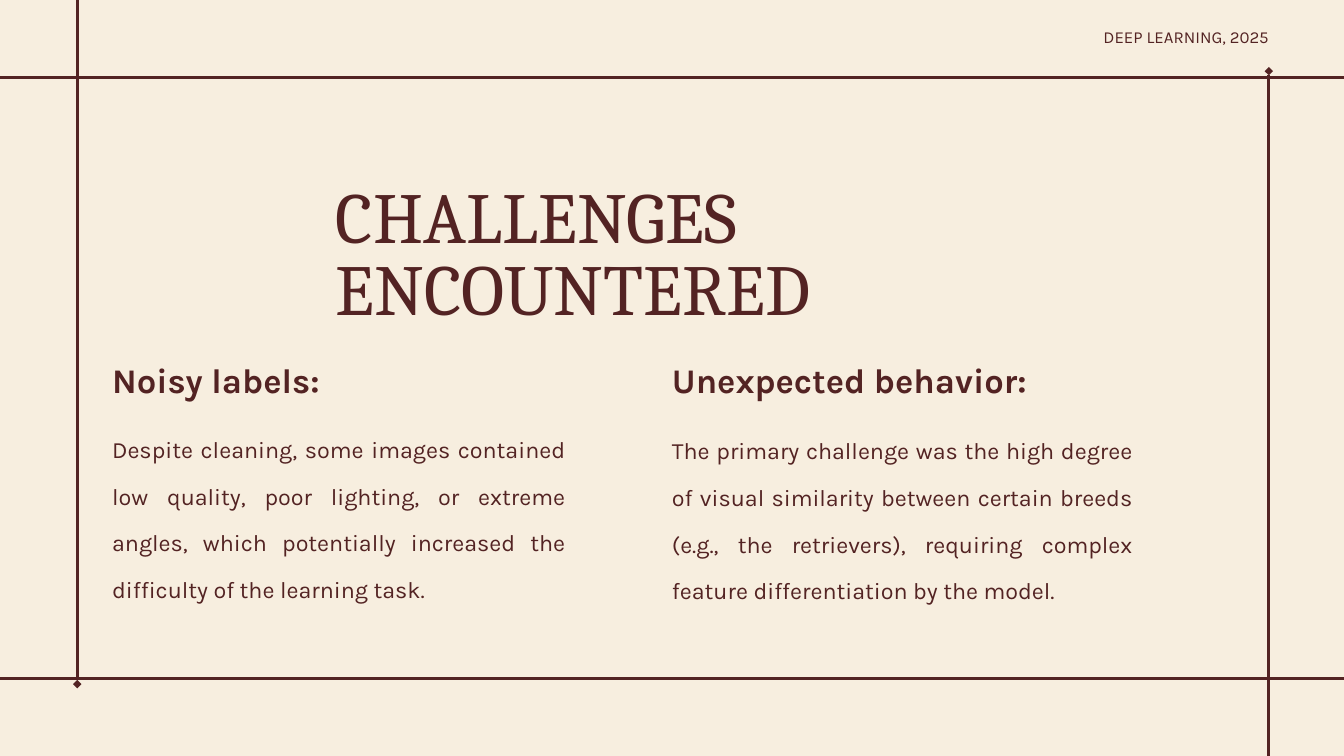
from dataclasses import dataclass

import pptx
import pptx.dml.color
import pptx.enum.shapes
import pptx.enum.text
import pptx.oxml
import pptx.oxml.ns
import pptx.util
from pptx.util import Cm

ALIGN = pptx.enum.text.PP_ALIGN
WIDTH, HEIGHT = 50.8, 28.58
LEFT_RULE, RIGHT_RULE = 2.92, 47.96
TOP_RULE, BOTTOM_RULE = 2.92, 25.65
HEADING_TOP = 13.31
CREAM, MAROON = "F7EEDF", "532323"


@dataclass
class Rule:
    """A frame line, with lengths in centimetres."""
    x1: float
    y1: float
    x2: float
    y2: float
    diamond_end: str = ""


@dataclass
class TextStyle:
    font: str
    size: float
    line_height: float
    align: ALIGN = ALIGN.LEFT
    bold: bool = False


@dataclass
class Column:
    left: float
    heading: str
    body: str
    body_top: float
    body_width: float


TITLE = TextStyle("Cambria", 77, 77)
HEADING = TextStyle("Karla", 37, 51.8, bold=True)
BODY = TextStyle("Karla", 25, 50, ALIGN.JUSTIFY)
HEADER = TextStyle("Karla", 18, 18, ALIGN.RIGHT)

RULES = [
    Rule(0, TOP_RULE, WIDTH, TOP_RULE),
    Rule(0, BOTTOM_RULE, WIDTH, BOTTOM_RULE),
    Rule(RIGHT_RULE, 2.69, RIGHT_RULE, HEIGHT, "headEnd"),
    Rule(LEFT_RULE, 0, LEFT_RULE, 25.86, "tailEnd"),
]

COLUMNS = [
    Column(4.24, "Noisy labels:",
           "Despite cleaning, some images contained low quality, poor lighting, "
           "or extreme angles, which potentially increased the difficulty of the "
           "learning task.", 15.75, 17.12),
    Column(25.4, "Unexpected behavior:",
           "The primary challenge was the high degree of visual similarity between "
           "certain breeds (e.g., the retrievers), requiring complex feature "
           "differentiation by the model.", 15.8, 17.4),
]


def color(hex_code: str) -> pptx.dml.color.RGBColor:
    return pptx.dml.color.RGBColor.from_string(hex_code)


def draw_rule(page, rule: Rule) -> None:
    line = page.shapes.add_connector(
        pptx.enum.shapes.MSO_CONNECTOR.STRAIGHT,
        Cm(rule.x1), Cm(rule.y1), Cm(rule.x2), Cm(rule.y2))
    line.line.color.rgb = color(MAROON)
    line.line.width = pptx.util.Pt(3)
    if rule.diamond_end:
        marker = pptx.oxml.parse_xml(
            f'<a:{rule.diamond_end} {pptx.oxml.ns.nsdecls("a")} type="diamond"/>')
        line.line._get_or_add_ln().append(marker)
    line._element.spPr.append(
        pptx.oxml.parse_xml(f'<a:effectLst {pptx.oxml.ns.nsdecls("a")}/>'))


def draw_text(page, text: str, style: TextStyle, left: float, top: float,
              width: float, height: float) -> None:
    box = page.shapes.add_textbox(Cm(left), Cm(top), Cm(width), Cm(height))
    frame = box.text_frame
    frame.word_wrap = True
    frame.auto_size = pptx.enum.text.MSO_AUTO_SIZE.SHAPE_TO_FIT_TEXT
    frame.margin_left = frame.margin_right = 0
    frame.margin_top = frame.margin_bottom = 0
    para = frame.paragraphs[0]
    para.alignment = style.align
    para.line_spacing = pptx.util.Pt(style.line_height)
    span = para.add_run()
    span.text = text
    span.font.name = style.font
    span.font.size = pptx.util.Pt(style.size)
    span.font.bold = style.bold
    span.font.color.rgb = color(MAROON)


def draw_column(page, column: Column) -> None:
    draw_text(page, column.heading, HEADING, column.left, HEADING_TOP, 14.15, 1.75)
    draw_text(page, column.body, BODY, column.left, column.body_top,
              column.body_width, 6.81)


def main() -> None:
    deck = pptx.Presentation()
    deck.slide_width, deck.slide_height = Cm(WIDTH), Cm(HEIGHT)
    page = deck.slides.add_slide(deck.slide_layouts[6])
    page.background.fill.solid()
    page.background.fill.fore_color.rgb = color(CREAM)

    # Frame
    for rule in RULES:
        draw_rule(page, rule)

    # Header and title
    draw_text(page, "DEEP LEARNING, 2025", HEADER, RIGHT_RULE - 13.89, 1.12, 13.89, 0.69)
    draw_text(page, "CHALLENGES ENCOUNTERED", TITLE, 12.7, 7.04, 19.76, 5.56)

    # Two challenges side by side
    for column in COLUMNS:
        draw_column(page, column)

    deck.save("out.pptx")


if __name__ == "__main__":
    main()
